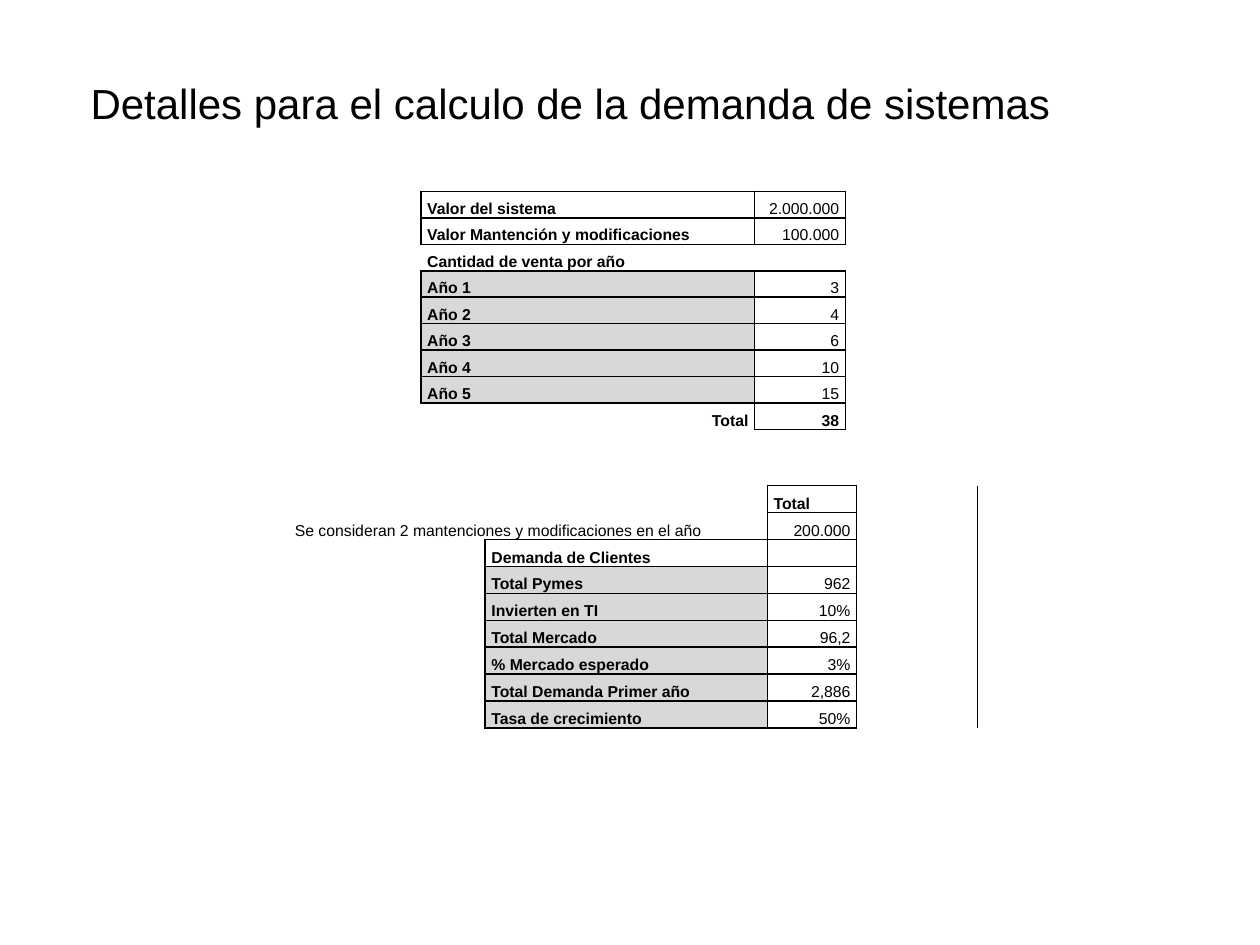
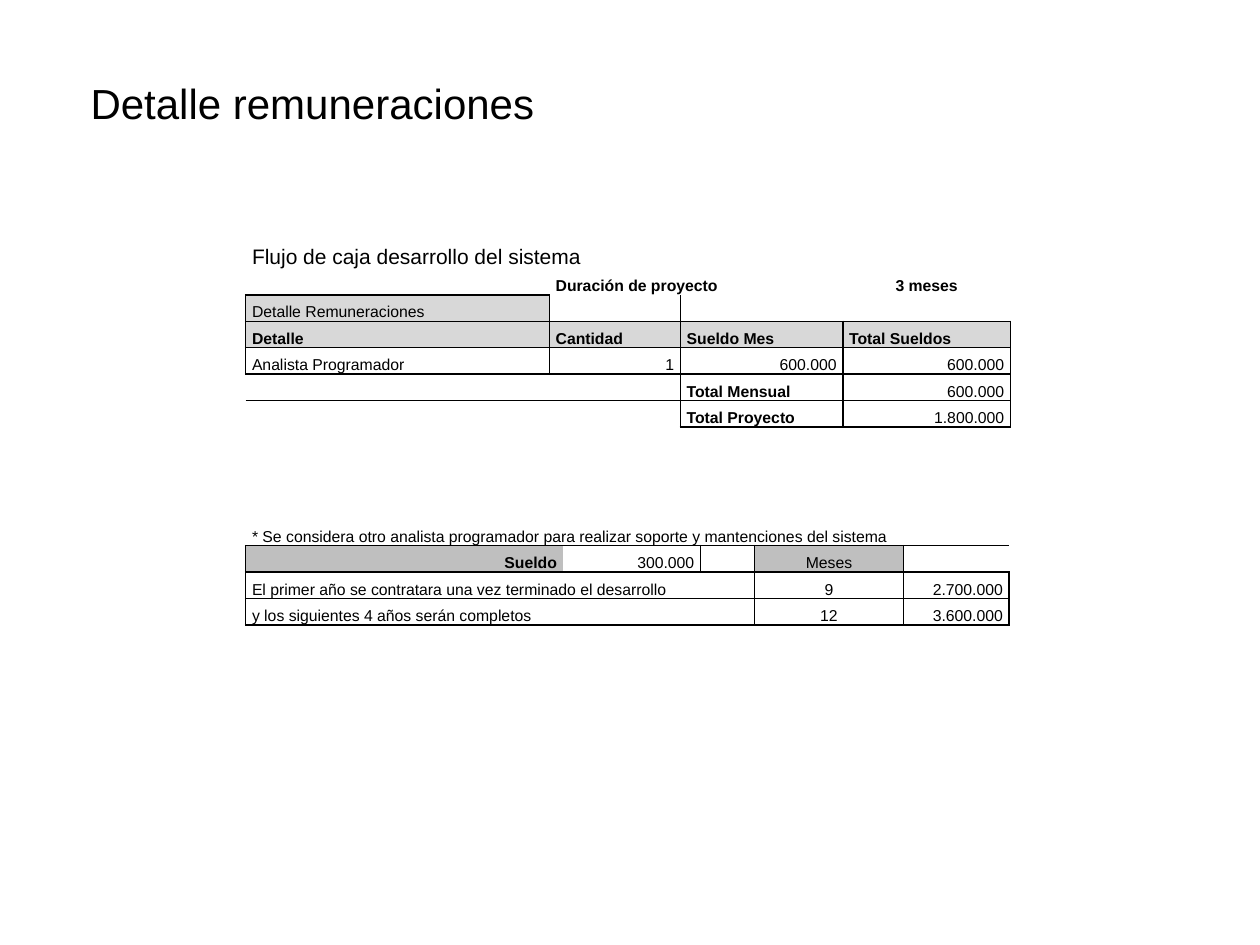
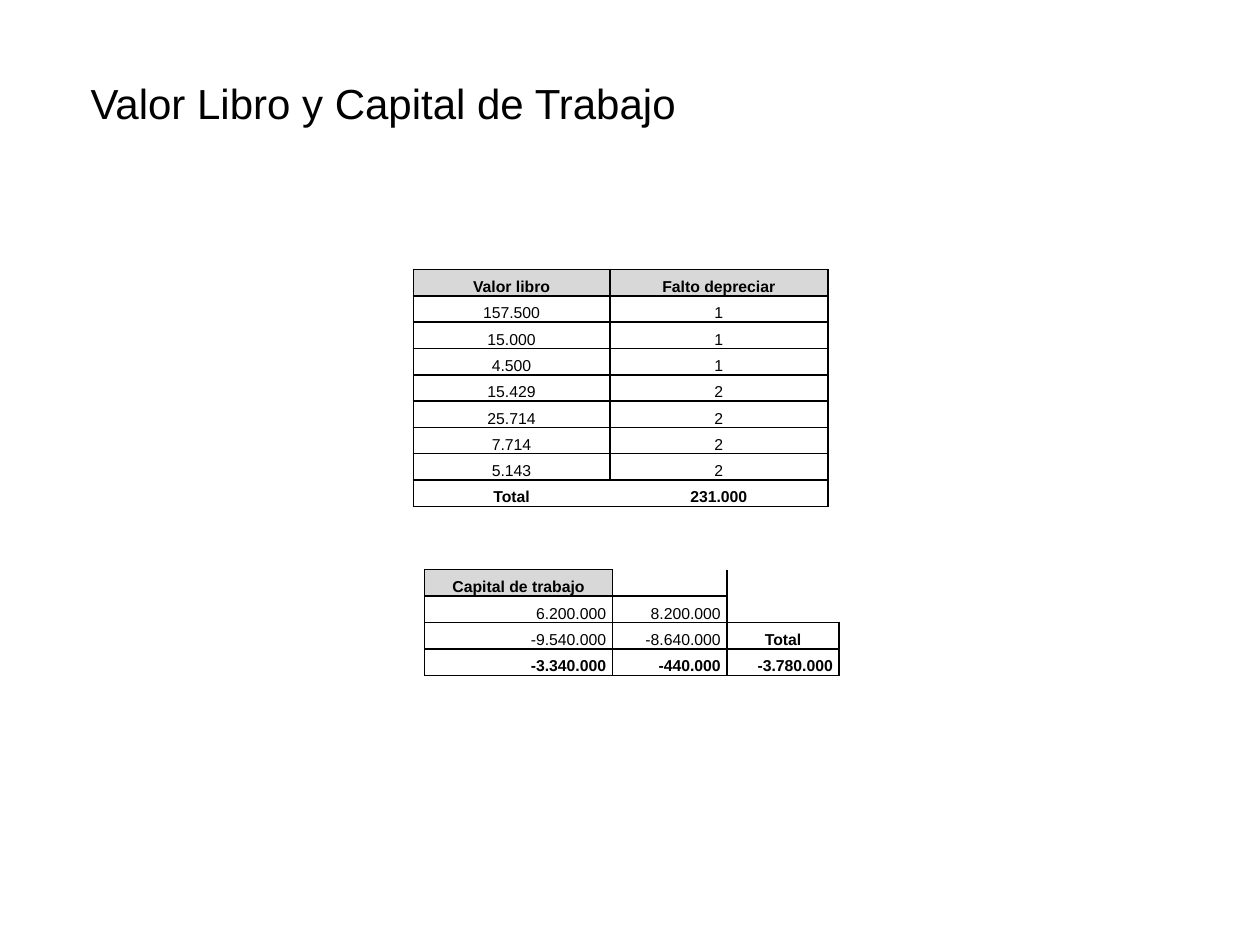
from dataclasses import dataclass
from typing import Optional

from lxml import etree
from pptx import Presentation
from pptx.dml.color import RGBColor
from pptx.enum.text import MSO_ANCHOR, MSO_AUTO_SIZE, PP_ALIGN
from pptx.oxml.ns import qn
from pptx.util import Inches, Pt

BLACK = RGBColor(0x00, 0x00, 0x00)
LIGHT = RGBColor(0xD8, 0xD8, 0xD8)
GREY = RGBColor(0xBF, 0xBF, 0xBF)
FONT = "Arial"
BASE = 9
BOTTOM = MSO_ANCHOR.BOTTOM
GROW = MSO_AUTO_SIZE.SHAPE_TO_FIT_TEXT
ALIGN = {"j": PP_ALIGN.JUSTIFY, "r": PP_ALIGN.RIGHT, "c": PP_ALIGN.CENTER}
EDGES = {"l": "a:lnL", "r": "a:lnR", "t": "a:lnT", "b": "a:lnB"}
PLAIN = "{2D5ABB26-0587-4C30-8999-92F81FD0307C}"


@dataclass
class Box:
    """One table cell; edge names the sides that have a line."""
    text: str = ""
    align: str = "j"
    bold: bool = False
    fill: Optional[RGBColor] = None
    edge: str = "lrtb"
    span: int = 1
    size: int = BASE


def head(text, fill=None, **more):
    """Describe a bold label."""
    return Box(text, bold=True, fill=fill, **more)


def num(text, **more):
    """Describe a value set to the right."""
    return Box(text, "r", **more)


def mid(text, **more):
    """Describe a centred cell."""
    return Box(text, "c", **more)


def gap(edge="", span=1):
    """Describe an empty cell."""
    return Box(edge=edge, span=span)


def style(run, size, bold=False):
    """Set the font of a run."""
    run.font.name = FONT
    run.font.size = Pt(size)
    run.font.bold = bold
    run.font.color.rgb = BLACK


def rule(cell, edge):
    """Draw thin black lines on the given sides of a cell."""
    props = cell._tc.get_or_add_tcPr()
    for side, tag in EDGES.items():
        if side in edge:
            line = etree.SubElement(props, qn(tag), w=str(Pt(1)))
            paint = etree.SubElement(line, qn("a:solidFill"))
            etree.SubElement(paint, qn("a:srgbClr"), val=str(BLACK))


def write(cell, box):
    """Put the text and fill of a box into a cell."""
    cell.margin_left = cell.margin_right = Inches(0.05)
    cell.margin_top = cell.margin_bottom = 0
    cell.vertical_anchor = BOTTOM
    if box.fill is None:
        cell.fill.background()
    else:
        cell.fill.solid()
        cell.fill.fore_color.rgb = box.fill
    para = cell.text_frame.paragraphs[0]
    para.alignment = ALIGN[box.align]
    para.line_spacing = 1.15
    if box.text:
        para.text = box.text
        style(para.runs[0], box.size, box.bold)
    else:
        etree.SubElement(para._p, qn("a:endParaRPr"), sz=str(BASE * 100))


def add_grid(slide, left, top, high, cols, rows):
    """Add a table of equal rows from lists of boxes."""
    frame = slide.shapes.add_table(
        len(rows), len(cols), Inches(left), Inches(top),
        Inches(sum(cols)), Inches(high))
    table = frame.table
    table.first_row = table.horz_banding = False
    table._tbl.tblPr.find(qn("a:tableStyleId")).text = PLAIN
    for col, wide in zip(table.columns, cols):
        col.width = Inches(wide)
    for r, row in enumerate(rows):
        table.rows[r].height = Inches(high / len(rows))
        c = 0
        for box in row:
            last = c + box.span - 1
            for i in range(c, last + 1):
                inner = "tbr" if i == last else "tb"
                sides = "lrtb" if i == c else inner
                cell = table.cell(r, i)
                rule(cell, [s for s in box.edge if s in sides])
                write(cell, box if i == c else gap())
            if box.span > 1:
                table.cell(r, c).merge(table.cell(r, last))
            c = last + 1


def add_page(deck, title):
    """Add a blank slide with its title."""
    slide = deck.slides.add_slide(deck.slide_layouts[6])
    area = slide.shapes.add_textbox(
        Inches(0.62), Inches(0.57), Inches(9.02), Inches(0.5))
    frame = area.text_frame
    frame.word_wrap = True
    frame.auto_size = GROW
    frame.text = title
    style(frame.paragraphs[0].runs[0], 24)
    return slide


def add_sales(deck):
    """Build the slide on demand for systems."""
    slide = add_page(deck, "Detalles para el calculo de la demanda de sistemas")
    years = enumerate(["3", "4", "6", "10", "15"], 1)
    add_grid(slide, 3.34, 1.31, 2.1, [0.3, 2.21, 0.09, 0.09, 0.63], [
        [gap("b"), gap("b"), gap("b", 2), gap("b")],
        [head("Valor del sistema", span=3), num("2.000.000", span=2)],
        [head("Valor Mantención y modificaciones", span=3),
         num("100.000", span=2)],
        [head("Cantidad de venta por año", edge="tb", span=3), gap("tb", 2)],
        *[[head(f"Año {n}", LIGHT, span=3), num(sold, span=2)]
          for n, sold in years],
        [num("Total", bold=True, edge="tr", span=3),
         num("38", bold=True, span=2)],
    ])
    facts = [
        ("Total Pymes", "962"), ("Invierten en TI", "10%"),
        ("Total Mercado", "96,2"), ("% Mercado esperado", "3%"),
        ("Total Demanda Primer año", "2,886"), ("Tasa de crecimiento", "50%"),
    ]
    add_grid(slide, 2.29, 3.64, 2.14, [1.56, 0.1, 0.1, 2, 0.71, 0.96], [
        [gap(span=2), gap(span=4)],
        [gap(), gap(span=2), gap("r"), head("Total"), gap("l")],
        [Box("Se consideran 2 mantenciones y modificaciones en el año",
             edge="r", span=4), num("200.000"), gap("l")],
        [gap("r"), head("Demanda de Clientes", span=3), gap("lrtb"), gap("l")],
        *[[gap("r"), head(name, LIGHT, span=3), num(value), gap("l")]
          for name, value in facts],
    ])


def add_wages(deck):
    """Build the slide on wages."""
    slide = add_page(deck, "Detalle remuneraciones")
    names = ["Detalle ", "Cantidad", "Sueldo Mes", "Total Sueldos"]
    add_grid(slide, 1.95, 1.9, 1.47, [2.41, 1.04, 1.29, 1.33], [
        [Box("Flujo de caja desarrollo del sistema", edge="", span=4, size=12)],
        [gap("b"), head("Duración de proyecto", edge="", span=2),
         mid("3 meses", bold=True, edge="")],
        [Box("Detalle Remuneraciones", fill=LIGHT),
         gap("lb"), gap("b"), gap("b")],
        [head(name, LIGHT) for name in names],
        [Box("Analista Programador"), num("1"), num("600.000"),
         num("600.000")],
        [gap("t"), gap("tr"), head("Total Mensual"), num("600.000")],
        [gap(), gap("r"), head("Total Proyecto"), num("1.800.000")],
    ])
    note = ("* Se considera otro analista programador para realizar "
            "soporte y mantenciones del sistema")
    add_grid(slide, 1.95, 4.12, 0.84, [2.52, 1.09, 0.43, 1.18, 0.84], [
        [Box(note, edge="b", span=5)],
        [num("Sueldo", bold=True, fill=GREY, edge="ltb"),
         num("300.000", edge="trb"), gap("lrb"), mid("Meses", fill=GREY),
         gap("lb")],
        [Box("El primer año se contratara una vez terminado el desarrollo ",
             span=3), mid("9"), num("2.700.000")],
        [Box("y los siguientes 4 años serán completos", edge="ltb", span=2),
         gap("trb"), mid("12"), num("3.600.000")],
    ])


def add_worth(deck):
    """Build the slide on book value and working capital."""
    slide = add_page(deck, "Valor Libro y Capital de Trabajo")
    books = [
        ("157.500", "1"), ("15.000", "1"), ("4.500", "1"), ("15.429", "2"),
        ("25.714", "2"), ("7.714", "2"), ("5.143", "2"),
    ]
    add_grid(slide, 3.28, 2.14, 1.88, [1.56, 1.73], [
        [mid(name, bold=True, fill=LIGHT)
         for name in ("Valor libro", "Falto depreciar")],
        *[[mid(value), mid(left)] for value, left in books],
        [mid("Total", bold=True, edge="ltb"),
         mid("231.000", bold=True, edge="trb")],
    ])
    sums = ["-3.340.000", "-440.000", "-3.780.000"]
    add_grid(slide, 3.37, 4.52, 0.84, [1.49, 0.91, 0.89], [
        [mid("Capital de trabajo", bold=True, fill=LIGHT), gap("lb"), gap()],
        [num("6.200.000", edge="ltr"), num("8.200.000"), gap("lb")],
        [num("-9.540.000", edge="lrb"), num("-8.640.000"),
         mid("Total", bold=True)],
        [num(value, bold=True) for value in sums],
    ])


def main():
    """Build and save the deck."""
    deck = Presentation()
    deck.slide_width = Inches(10)
    deck.slide_height = Inches(7.5)
    add_sales(deck)
    add_wages(deck)
    add_worth(deck)
    deck.save("out.pptx")


main()
